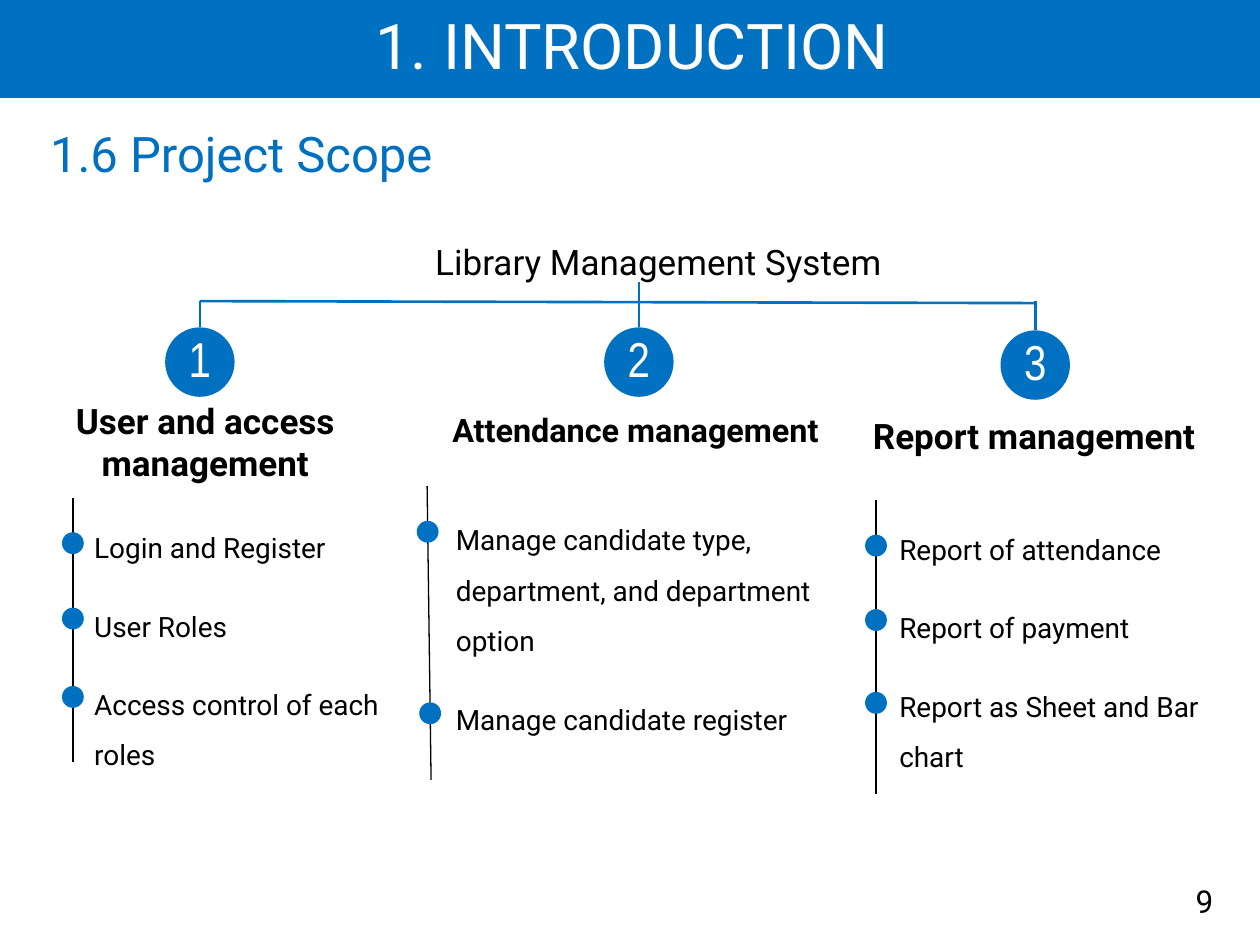
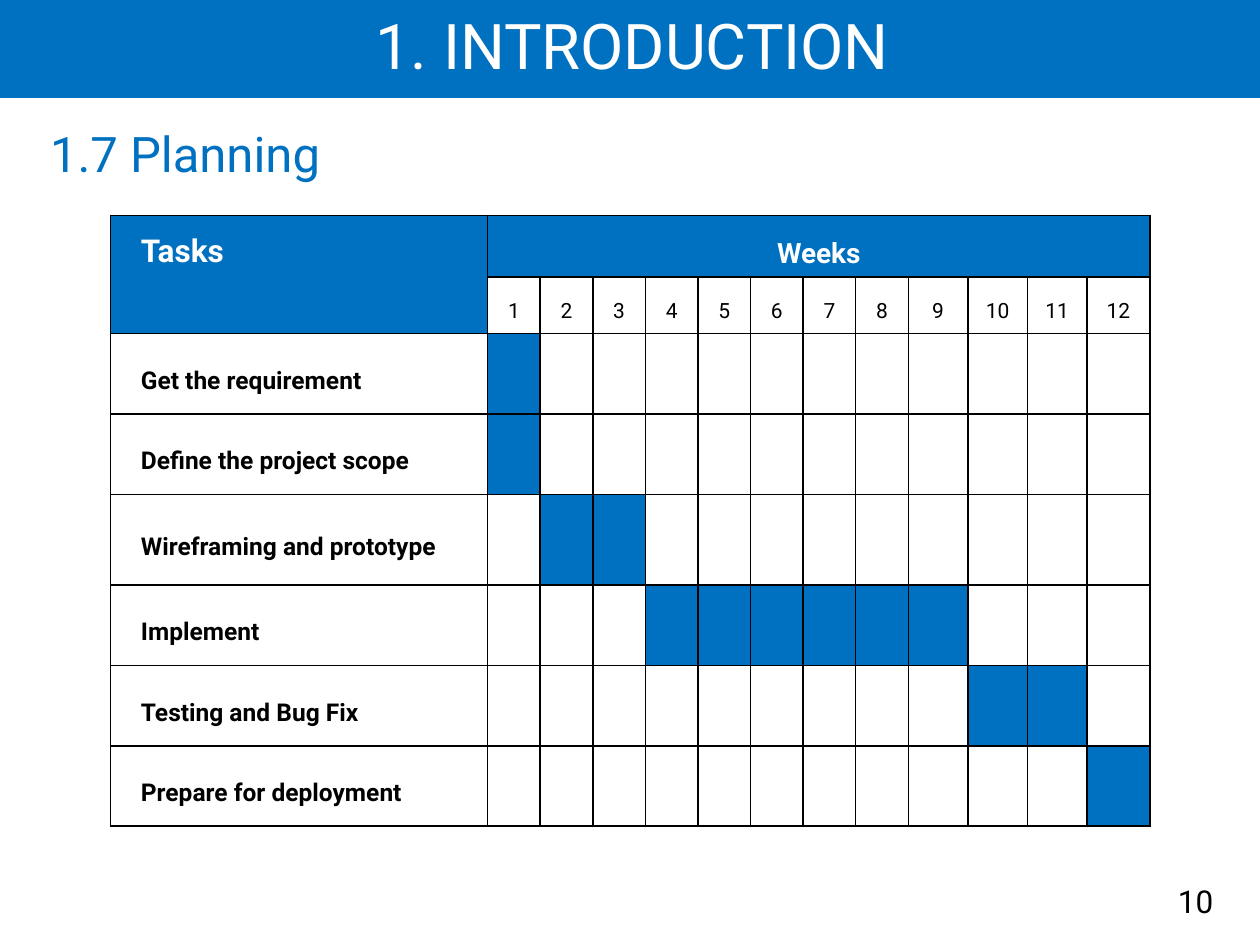
from dataclasses import dataclass

from lxml.etree import SubElement
from pptx import Presentation
from pptx.dml.color import RGBColor
from pptx.enum.shapes import MSO_CONNECTOR, MSO_SHAPE
from pptx.enum.text import MSO_ANCHOR, MSO_AUTO_SIZE, PP_ALIGN
from pptx.oxml.ns import qn
from pptx.util import Cm, Pt

BLUE, WHITE, BLACK = "0070C0", "FFFFFF", "000000"
FONT, NUMBER_FONT = "Roboto", "Arial Narrow"
LEFT, CENTER, RIGHT = PP_ALIGN.LEFT, PP_ALIGN.CENTER, PP_ALIGN.RIGHT
TOP, MIDDLE = MSO_ANCHOR.TOP, MSO_ANCHOR.MIDDLE
HUB_SIZE, DOT_SIZE = 1.4, 0.44


@dataclass
class Branch:
    """One column of the project scope; boxes are left, top, width, height."""
    heading: str
    heading_box: tuple
    heading_size: float
    heading_spacing: float
    hub: tuple
    spine_box: tuple
    text_offset: tuple
    text_width: float
    dots: tuple
    items: tuple


BRANCHES = (
    Branch("User and access management", (0.76, 7.92, 6.76, 2.79), 20, 1.0,
           (4.03, 7.3), (1.47, 10.03, 0, 5.34), (0.18, 0.21), 6.3,
           (0.92, 2.44, 4.02),
           ("Login and Register", "User Roles", "Access control of each roles")),
    Branch("Attendance management", (8.76, 7.75, 8.1, 1.8), 18.5, 1.5,
           (12.88, 7.3), (8.61, 9.8, 0.08, 5.92), (0.33, 0.28), 8.74,
           (0.92, 4.58),
           ("Manage candidate type, department, and department option",
            "Manage candidate register")),
    Branch("Report management", (16.99, 7.8, 7.72, 1.78), 20, 1.5,
           (20.87, 7.36), (17.66, 10.08, 0, 5.92), (0.22, 0.19), 7.11,
           (0.92, 2.42, 4.09),
           ("Report of attendance", "Report of payment",
            "Report as Sheet and Bar chart")),
)

TASKS = (
    ("Get the requirement", 1, 1),
    ("Define the project scope", 1, 1),
    ("Wireframing and prototype", 2, 3),
    ("Implement", 4, 9),
    ("Testing and Bug Fix", 10, 11),
    ("Prepare for deployment", 12, 12),
)
COLUMN_WIDTHS = [7.6] + [1.06] * 8 + [1.2] * 3 + [1.27]
ROW_HEIGHTS = (1.24, 0.91, 1.62, 1.62, 1.83, 1.62, 1.62, 1.62)


def rgb(color):
    """Turn a hex string into a colour."""
    return RGBColor.from_string(color)


def lengths(values):
    """Turn centimetre values into lengths."""
    return [Cm(value) for value in values]


def write(frame, texts, size, color=BLACK, align=LEFT, spacing=1.0, before=0,
          after=0, bold=False, font=FONT):
    """Fill a text frame with equally formatted paragraphs."""
    for index, text in enumerate(texts):
        paragraph = frame.add_paragraph() if index else frame.paragraphs[0]
        paragraph.text = text
        paragraph.alignment = align
        paragraph.line_spacing = spacing
        paragraph.space_before, paragraph.space_after = Pt(before), Pt(after)
        paragraph.font.name, paragraph.font.size = font, Pt(size)
        paragraph.font.bold = bold
        paragraph.font.color.rgb = rgb(color)


def add_text(slide, box, texts, size, anchor=TOP, **style):
    """Add a wrapping text box."""
    frame = slide.shapes.add_textbox(*lengths(box)).text_frame
    frame.word_wrap = True
    frame.vertical_anchor = anchor
    write(frame, texts, size, **style)


def add_filled(slide, kind, box, color=BLUE):
    """Add a flat preset shape without an outline."""
    shape = slide.shapes.add_shape(kind, *lengths(box))
    shape.shadow.inherit = False
    shape.fill.solid()
    shape.fill.fore_color.rgb = rgb(color)
    shape.line.fill.background()
    return shape


def add_circle(slide, x, y, size):
    """Add a blue circle around a centre point."""
    return add_filled(slide, MSO_SHAPE.OVAL, (x - size / 2, y - size / 2, size, size))


def add_line(slide, ends, color=BLUE, width=1.5):
    """Add a straight line without a shadow."""
    line = slide.shapes.add_connector(MSO_CONNECTOR.STRAIGHT, *lengths(ends))
    line.line.color.rgb = rgb(color)
    line.line.width = Pt(width)
    SubElement(line._element.spPr, qn("a:effectLst"))


def add_section_slide(presentation, section, number):
    """Add a slide with the title band, section heading and page number."""
    slide = presentation.slides.add_slide(presentation.slide_layouts[5])
    band = add_filled(slide, MSO_SHAPE.RECTANGLE, (0, -0.03, 25.4, 1.98))
    band.line.color.rgb = rgb(BLUE)
    band.line.width = Pt(1)
    slide.shapes._spTree.insert(2, band._element)

    title = slide.shapes.title
    title.left, title.top, title.width, title.height = lengths((0.76, 0, 23.98, 1.96))
    title.text_frame.auto_size = MSO_AUTO_SIZE.NONE
    title.text_frame.vertical_anchor = MIDDLE
    write(title.text_frame, ["1. INTRODUCTION"], 36, WHITE, CENTER, 0.9, 10)
    add_text(slide, (0.76, 2.49, 19.25, 1.3), [section], 28, color=BLUE,
             spacing=0.9, before=10)
    add_text(slide, (17.93, 17.65, 6.78, 1.02), [str(number)], 18, MIDDLE, align=RIGHT)
    return slide


def add_tree(slide, box, root, hubs):
    """Draw the root label, its connecting lines and the numbered hubs."""
    left, top, width, height = box
    add_text(slide, box, [root], 20, align=CENTER, spacing=1.4, before=10, after=6)
    bar = top + 1.68
    (first, _), (middle, middle_y), (last, _) = hubs
    add_line(slide, (first, bar, last, bar + 0.04))
    add_line(slide, (middle, top + height, middle, middle_y - HUB_SIZE / 2))
    for x, y in (hubs[0], hubs[-1]):
        add_line(slide, (x, bar, x, y - HUB_SIZE / 2))
    for number, (x, y) in enumerate(hubs, 1):
        frame = add_circle(slide, x, y, HUB_SIZE).text_frame
        frame.margin_left = frame.margin_right = 0
        frame.margin_top = frame.margin_bottom = 0
        frame.word_wrap = False
        frame.vertical_anchor = MIDDLE
        write(frame, [str(number)], 28, WHITE, CENTER, 0.9, font=NUMBER_FONT)


def add_branch(slide, branch):
    """Draw a column heading and its dotted spine with the list beside it."""
    add_text(slide, branch.heading_box, [branch.heading], branch.heading_size,
             align=CENTER, spacing=branch.heading_spacing, before=10, after=6, bold=True)
    left, top, lean, height = branch.spine_box
    add_line(slide, (left, top, left + lean, top + height), BLACK, 0.75)
    for drop in branch.dots:
        add_circle(slide, left + lean * drop / height, top + drop, DOT_SIZE)
    gap, drop = branch.text_offset
    add_text(slide, (left + gap, top + drop, branch.text_width, height),
             branch.items, 16, spacing=1.5, before=10, after=6)


def style_cell(cell, color):
    """Give a cell black borders, a fill and narrow margins."""
    properties = cell._tc.get_or_add_tcPr()
    for side in ("lnL", "lnR", "lnT", "lnB"):
        border = SubElement(properties, qn(f"a:{side}"), w=str(Pt(1)))
        SubElement(SubElement(border, qn("a:solidFill")), qn("a:srgbClr"), val=BLACK)
    cell.fill.solid()
    cell.fill.fore_color.rgb = rgb(color)
    cell.margin_left = cell.margin_right = Cm(0.18)
    cell.margin_top = cell.margin_bottom = 0
    cell.vertical_anchor = MIDDLE


def write_cell(cell, text, size, color=BLACK, align=CENTER, bold=True):
    """Write one line in a cell, indented when it is justified."""
    write(cell.text_frame, [text], size, color, align, 1.5, after=6, bold=bold)
    if align == PP_ALIGN.JUSTIFY:
        cell.text_frame.paragraphs[0]._p.get_or_add_pPr().set("indent", str(Cm(0.43)))


def add_schedule(slide, left, top):
    """Draw the table of tasks and the weeks they take."""
    box = (left, top, sum(COLUMN_WIDTHS), sum(ROW_HEIGHTS))
    table = slide.shapes.add_table(len(ROW_HEIGHTS), len(COLUMN_WIDTHS),
                                   *lengths(box)).table
    for column, width in zip(table.columns, COLUMN_WIDTHS):
        column.width = Cm(width)
    for row, height in zip(table.rows, ROW_HEIGHTS):
        row.height = Cm(height)

    header = {(0, week) for week in range(len(COLUMN_WIDTHS))} | {(1, 0)}
    busy = {(row, week) for row, (_, start, end) in enumerate(TASKS, 2)
            for week in range(start, end + 1)}
    for row in range(len(ROW_HEIGHTS)):
        for column in range(len(COLUMN_WIDTHS)):
            blue = (row, column) in header | busy
            style_cell(table.cell(row, column), BLUE if blue else WHITE)

    tasks, weeks = table.cell(0, 0), table.cell(0, 1)
    tasks.merge(table.cell(1, 0))
    tasks.vertical_anchor = TOP
    weeks.merge(table.cell(0, len(COLUMN_WIDTHS) - 1))
    write_cell(tasks, "Tasks", 18, WHITE, PP_ALIGN.JUSTIFY)
    write_cell(weeks, "Weeks", 16, WHITE)
    for week in range(1, len(COLUMN_WIDTHS)):
        write_cell(table.cell(1, week), str(week), 12, bold=False)
    for row, (task, _, _) in enumerate(TASKS, 2):
        write_cell(table.cell(row, 0), task, 14, align=PP_ALIGN.JUSTIFY)


def main():
    """Build both slides and save the presentation."""
    presentation = Presentation()
    presentation.slide_width, presentation.slide_height = Cm(25.4), Cm(19.05)

    scope = add_section_slide(presentation, "1.6 Project Scope", 9)
    add_tree(scope, (1.83, 4.39, 22.89, 1.3), "Library Management System",
             [branch.hub for branch in BRANCHES])
    for branch in BRANCHES:
        add_branch(scope, branch)

    planning = add_section_slide(presentation, "1.7 Planning", 10)
    add_schedule(planning, 2.23, 4.34)
    presentation.save("out.pptx")


if __name__ == "__main__":
    main()
